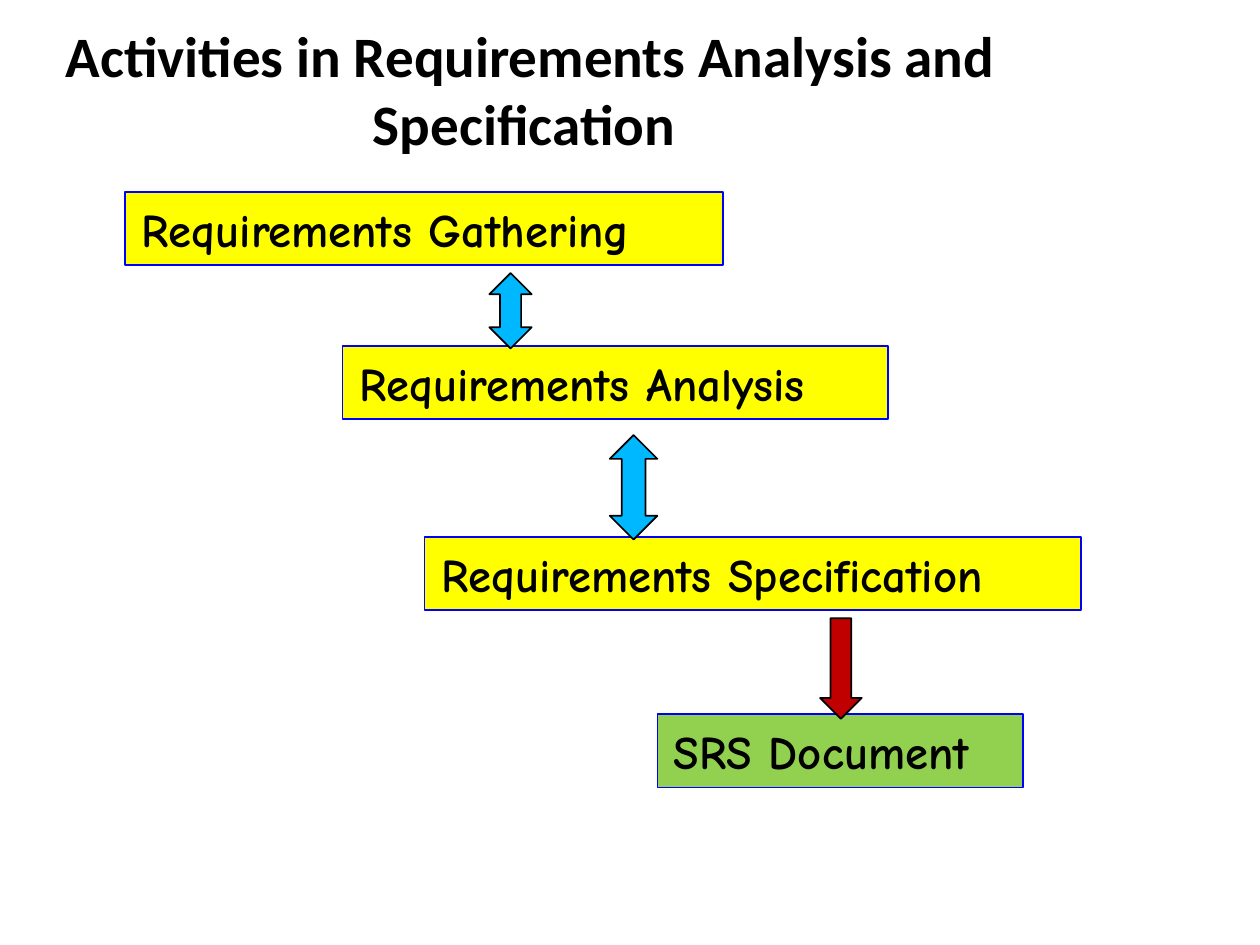
import dataclasses

import pptx
import pptx.dml.color
import pptx.enum.shapes
import pptx.enum.text
import pptx.shapes.autoshape
import pptx.slide
import pptx.text.text
import pptx.util

Cm = pptx.util.Cm
Pt = pptx.util.Pt
Color = pptx.dml.color.RGBColor
Shape = pptx.enum.shapes.MSO_SHAPE
Align = pptx.enum.text.PP_ALIGN
Anchor = pptx.enum.text.MSO_ANCHOR


@dataclasses.dataclass(frozen=True)
class Theme:
    ink: Color = Color(0x00, 0x00, 0x00)
    box_line: Color = Color(0x00, 0x00, 0xFF)
    activity: Color = Color(0xFF, 0xFF, 0x00)
    document: Color = Color(0x92, 0xD0, 0x50)
    exchange: Color = Color(0x00, 0xB8, 0xFF)
    output: Color = Color(0xC0, 0x00, 0x00)
    title_font: str = "Calibri"
    title_size: float = 24.5
    box_font: str = "Comic Neue"
    box_size: float = 20
    line_width: float = 0.75


@dataclasses.dataclass(frozen=True)
class Box:
    text: str
    left: float
    top: float
    width: float
    fill: Color


@dataclasses.dataclass(frozen=True)
class Arrow:
    kind: Shape
    left: float
    top: float
    width: float
    height: float
    fill: Color


THEME = Theme()
BOX_HEIGHT = 1.11

BOXES = [
    Box("Requirements Gathering", 1.89, 2.9, 9.04, THEME.activity),
    Box("Requirements Analysis", 5.18, 5.23, 8.25, THEME.activity),
    Box("Requirements Specification", 6.42, 8.12, 9.93, THEME.activity),
    Box("SRS Document", 9.94, 10.8, 5.53, THEME.document),
]
ARROWS = [
    Arrow(Shape.UP_DOWN_ARROW, 7.4, 4.13, 0.64, 1.14, THEME.exchange),
    Arrow(Shape.UP_DOWN_ARROW, 9.22, 6.58, 0.72, 1.58, THEME.exchange),
    Arrow(Shape.DOWN_ARROW, 12.4, 9.35, 0.63, 1.52, THEME.output),
]


def write_text(frame: pptx.text.text.TextFrame, text: str, font_name: str,
               size: float, alignment: Align) -> None:
    frame.word_wrap = True
    frame.vertical_anchor = Anchor.MIDDLE
    paragraph = frame.paragraphs[0]
    paragraph.alignment = alignment
    run = paragraph.add_run()
    run.text = text
    formats = {"name": font_name, "size": Pt(size), "bold": True}
    for attribute, value in formats.items():
        setattr(run.font, attribute, value)
    run.font.color.rgb = THEME.ink


def add_filled_shape(slide: pptx.slide.Slide, kind: Shape, left: float,
                     top: float, width: float, height: float, fill: Color,
                     line: Color) -> pptx.shapes.autoshape.Shape:
    shape = slide.shapes.add_shape(kind, Cm(left), Cm(top), Cm(width), Cm(height))
    shape.shadow.inherit = False
    shape.fill.solid()
    shape.fill.fore_color.rgb = fill
    shape.line.color.rgb = line
    shape.line.width = Pt(THEME.line_width)
    return shape


def add_title(slide: pptx.slide.Slide) -> None:
    title = slide.shapes.add_textbox(Cm(0.45), Cm(0.16), Cm(15.14), Cm(2.36))
    write_text(title.text_frame,
               "Activities in Requirements Analysis and Specification ",
               THEME.title_font, THEME.title_size, Align.CENTER)


def add_box(slide: pptx.slide.Slide, box: Box) -> None:
    shape = add_filled_shape(slide, Shape.RECTANGLE, box.left, box.top, box.width,
                             BOX_HEIGHT, box.fill, THEME.box_line)
    write_text(shape.text_frame, box.text, THEME.box_font, THEME.box_size, Align.LEFT)


def add_arrow(slide: pptx.slide.Slide, arrow: Arrow) -> None:
    add_filled_shape(slide, arrow.kind, arrow.left, arrow.top, arrow.width,
                     arrow.height, arrow.fill, THEME.ink)


def main() -> None:
    presentation = pptx.Presentation()
    presentation.slide_width = Cm(19.05)
    presentation.slide_height = Cm(14.29)
    slide = presentation.slides.add_slide(presentation.slide_layouts[6])

    # Heading
    add_title(slide)

    # Activities and the resulting document
    for box in BOXES:
        add_box(slide, box)

    # Flow between the steps
    for arrow in ARROWS:
        add_arrow(slide, arrow)

    presentation.save("out.pptx")


if __name__ == "__main__":
    main()
